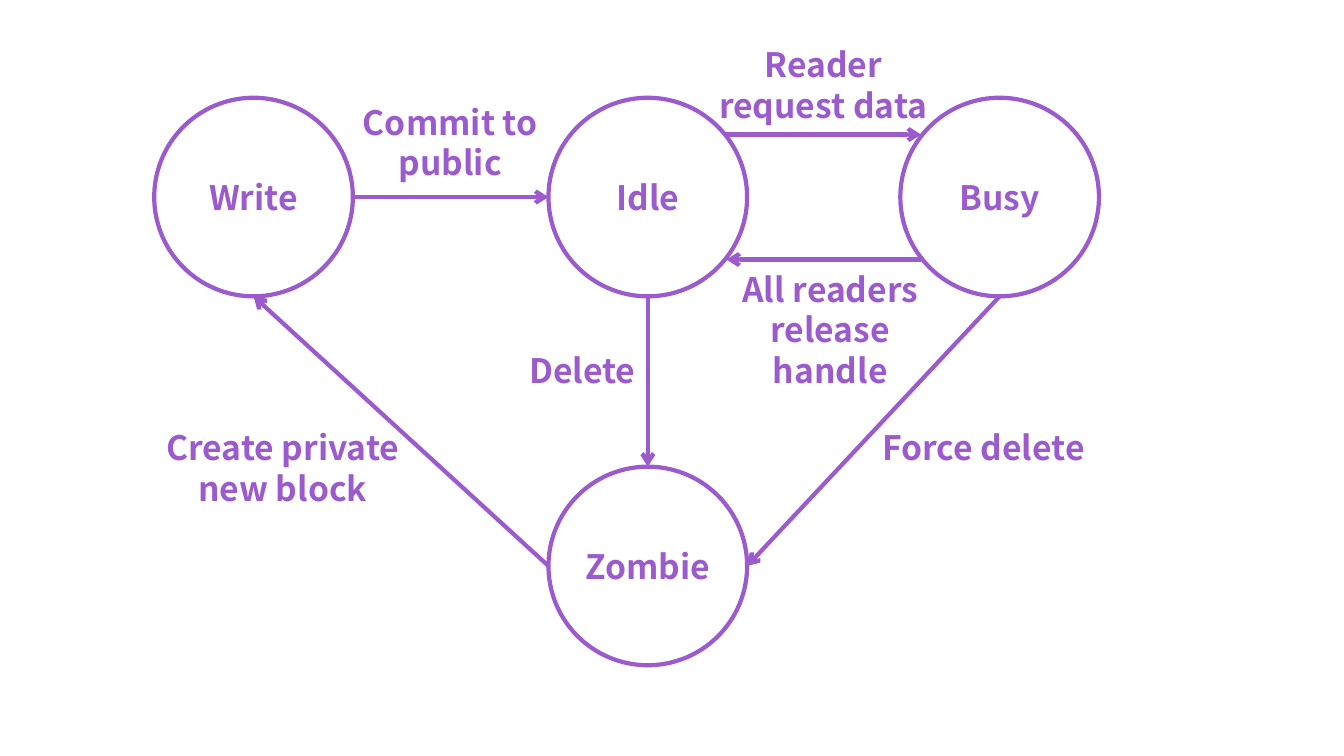
from dataclasses import dataclass

from pptx import Presentation
from pptx.dml.color import RGBColor
from pptx.enum.shapes import MSO_CONNECTOR, MSO_SHAPE
from pptx.enum.text import MSO_ANCHOR, PP_ALIGN
from pptx.oxml.ns import qn
from pptx.slide import Slide
from pptx.text.text import TextFrame
from pptx.util import Inches, Pt
from lxml.etree import SubElement

COLORS = {"purple": "9C5BCD"}
FONT = "Noto Sans CJK SC"
DIAMETER = 1.97
RADIUS = DIAMETER / 2

LEFT = (-RADIUS, 0)
RIGHT = (RADIUS, 0)
TOP = (0, -RADIUS)
BOTTOM = (0, RADIUS)
UPPER_RIGHT = (0.78, -0.62)
LOWER_RIGHT = (0.78, 0.62)
UPPER_LEFT = (-0.78, -0.62)
LOWER_LEFT = (-0.78, 0.62)


@dataclass(frozen=True)
class State:
    name: str
    left: float
    top: float

    def point(self, offset: tuple[float, float]) -> tuple[int, int]:
        return (
            Inches(self.left + RADIUS + offset[0]),
            Inches(self.top + RADIUS + offset[1]),
        )


@dataclass(frozen=True)
class Transition:
    source: State
    source_offset: tuple[float, float]
    target: State
    target_offset: tuple[float, float]
    label: str
    left: float
    top: float
    width: float = 2.27
    height: float = 0.91


WRITE = State("Write", 1.53, 0.97)
IDLE = State("Idle", 5.44, 0.97)
BUSY = State("Busy", 8.93, 0.97)
ZOMBIE = State("Zombie", 5.44, 4.63)
STATES = [WRITE, IDLE, BUSY, ZOMBIE]

TRANSITIONS = [
    Transition(WRITE, RIGHT, IDLE, LEFT, "Commit to public", 3.33, 0.96),
    Transition(IDLE, UPPER_RIGHT, BUSY, UPPER_LEFT, "Reader request data", 7.03, 0.39),
    Transition(BUSY, LOWER_LEFT, IDLE, LOWER_RIGHT, "All readers release handle", 7.03, 2.62, 2.41),
    Transition(IDLE, BOTTOM, ZOMBIE, TOP, "Delete", 4.64, 3.42, height=0.5),
    Transition(BUSY, BOTTOM, ZOMBIE, RIGHT, "Force delete", 8.62, 4.19, height=0.5),
    Transition(ZOMBIE, LEFT, WRITE, BOTTOM, "Create private new block", 1.53, 4.19, 2.55),
]


def purple() -> RGBColor:
    return RGBColor.from_string(COLORS["purple"])


def write_text(text_frame: TextFrame, text: str) -> None:
    text_frame.text = text
    paragraph = text_frame.paragraphs[0]
    paragraph.alignment = PP_ALIGN.CENTER
    font = paragraph.runs[0].font
    font.name = FONT
    font.size = Pt(24)
    font.bold = True
    font.color.rgb = purple()


def draw_state(slide: Slide, state: State) -> None:
    shape = slide.shapes.add_shape(
        MSO_SHAPE.OVAL,
        Inches(state.left),
        Inches(state.top),
        Inches(DIAMETER),
        Inches(DIAMETER),
    )
    shape.shadow.inherit = False
    shape.fill.background()
    shape.line.color.rgb = purple()
    shape.line.width = Pt(3)
    shape.text_frame.word_wrap = False
    shape.text_frame.vertical_anchor = MSO_ANCHOR.MIDDLE
    write_text(shape.text_frame, state.name)


def draw_transition(slide: Slide, transition: Transition) -> None:
    start = transition.source.point(transition.source_offset)
    end = transition.target.point(transition.target_offset)
    connector = slide.shapes.add_connector(MSO_CONNECTOR.STRAIGHT, *start, *end)
    connector.line.color.rgb = purple()
    connector.line.width = Pt(3)
    properties = connector._element.spPr
    SubElement(properties.find(qn("a:ln")), qn("a:tailEnd"), type="arrow")
    SubElement(properties, qn("a:effectLst"))

    label = slide.shapes.add_textbox(
        Inches(transition.left),
        Inches(transition.top),
        Inches(transition.width),
        Inches(transition.height),
    )
    label.text_frame.word_wrap = True
    write_text(label.text_frame, transition.label)


def main() -> None:
    presentation = Presentation()
    presentation.slide_width = Inches(13.33)
    presentation.slide_height = Inches(7.5)
    slide = presentation.slides.add_slide(presentation.slide_layouts[6])
    for state in STATES:
        draw_state(slide, state)
    for transition in TRANSITIONS:
        draw_transition(slide, transition)
    presentation.save("out.pptx")


if __name__ == "__main__":
    main()
